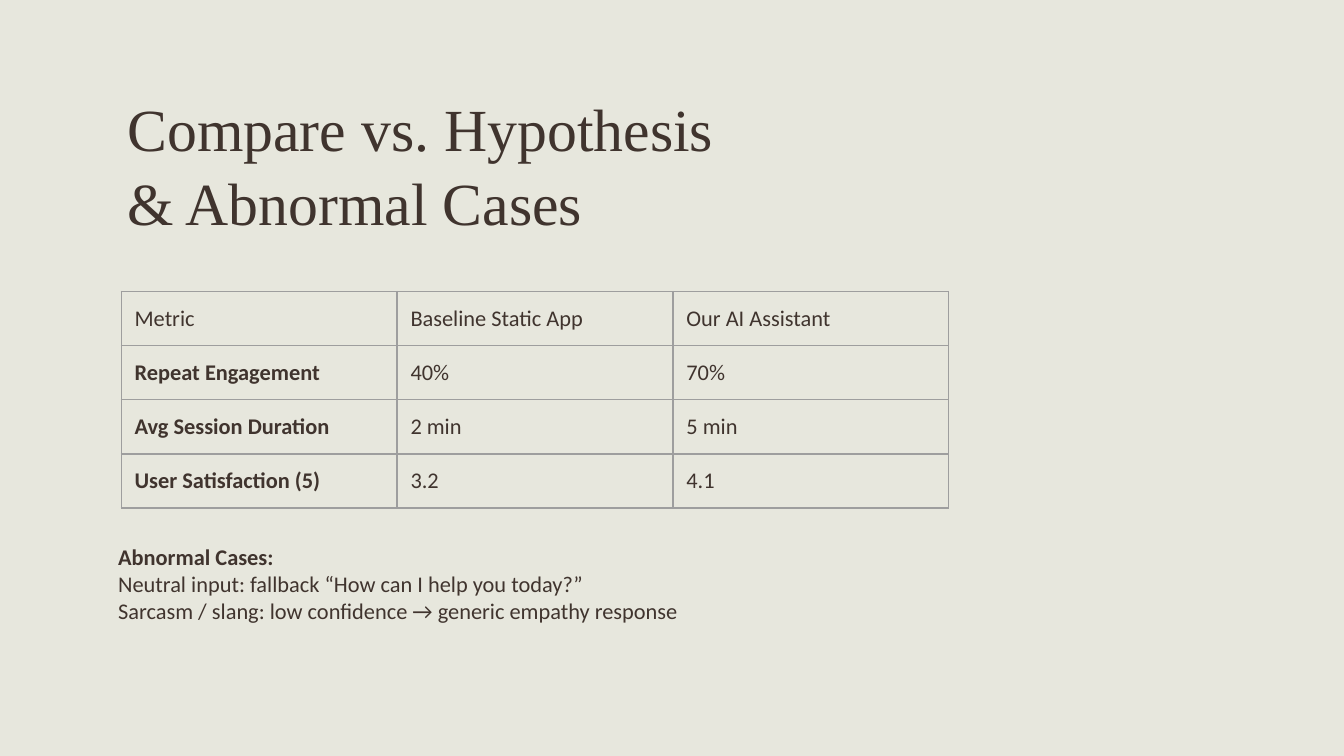
"""Build the slide that compares results with the hypothesis and lists abnormal cases."""
from dataclasses import dataclass

from lxml import etree
from pptx import Presentation
from pptx import util as u
from pptx.dml.color import RGBColor
from pptx.enum import text
from pptx.oxml import ns


@dataclass(frozen=True)
class Theme:
    background: str = "E7E7DD"
    ink: str = "40342E"
    border: str = "9E9E9E"
    title_font: str = "Times New Roman"
    body_font: str = "Calibri"
    title_size: float = 32
    body_size: float = 12
    border_width: float = 0.75
    inset: float = 7.2


class SlideBuilder:
    def __init__(self, slide, theme):
        self.slide = slide
        self.theme = theme
        slide.background.fill.solid()
        slide.background.fill.fore_color.rgb = RGBColor.from_string(theme.background)

    def set_margins(self, target):
        for side in ("left", "top", "right", "bottom"):
            setattr(target, f"margin_{side}", u.Pt(self.theme.inset))

    def format_runs(self, paragraph, font, size, bold=False):
        for run in paragraph.runs:
            run.font.name = font
            run.font.size = u.Pt(size)
            run.font.bold = bold
            run.font.color.rgb = RGBColor.from_string(self.theme.ink)

    def add_text_box(self, box, content, anchor):
        frame = self.slide.shapes.add_textbox(*map(u.Pt, box)).text_frame
        frame.word_wrap = True
        frame.vertical_anchor = anchor
        self.set_margins(frame)
        frame.text = content
        return frame

    def add_title(self, box, content):
        frame = self.add_text_box(box, content, text.MSO_ANCHOR.MIDDLE)
        paragraph = frame.paragraphs[0]
        paragraph.line_spacing = 1.03
        self.format_runs(paragraph, self.theme.title_font, self.theme.title_size)

    def add_notes_block(self, box, lines):
        frame = self.add_text_box(box, "\n".join(lines), text.MSO_ANCHOR.TOP)
        for index, paragraph in enumerate(frame.paragraphs):
            self.format_runs(paragraph, self.theme.body_font, self.theme.body_size, index == 0)

    def add_borders(self, cell):
        properties = cell._tc.get_or_add_tcPr()
        for side in ("L", "R", "T", "B"):
            line = etree.SubElement(properties, ns.qn(f"a:ln{side}"),
                                    w=str(u.Pt(self.theme.border_width)))
            fill = etree.SubElement(line, ns.qn("a:solidFill"))
            etree.SubElement(fill, ns.qn("a:srgbClr"), val=self.theme.border)

    def add_table(self, left, top, column_width, row_height, rows):
        row_count, column_count = len(rows), len(rows[0])
        size = (column_width * column_count, row_height * row_count)
        shape = self.slide.shapes.add_table(
            row_count, column_count, *map(u.Pt, (left, top, *size)))
        table = shape.table
        table.first_row = table.horz_banding = False
        for row_index, row in enumerate(rows):
            for column_index, content in enumerate(row):
                cell = table.cell(row_index, column_index)
                self.set_margins(cell)
                cell.text = content
                is_metric = row_index > 0 and column_index == 0
                self.format_runs(cell.text_frame.paragraphs[0], self.theme.body_font,
                                 self.theme.body_size, is_metric)
                self.add_borders(cell)
                cell.fill.background()


def main():
    presentation = Presentation()
    presentation.slide_width, presentation.slide_height = u.Pt(720), u.Pt(405)
    slide = presentation.slides.add_slide(presentation.slide_layouts[6])
    builder = SlideBuilder(slide, Theme())
    builder.add_title((61.2, 41, 335.5, 93.6), "Compare vs. Hypothesis & Abnormal Cases")
    builder.add_notes_block((56.2, 283.7, 474.5, 58.3), [
        "Abnormal Cases:",
        "Neutral input: fallback “How can I help you today?”",
        "Sarcasm / slang: low confidence → generic empathy response",
    ])
    builder.add_table(64.9, 156.2, 147.8, 29, [
        ["Metric", "Baseline Static App", "Our AI Assistant"],
        ["Repeat Engagement", "40%", "70%"],
        ["Avg Session Duration", "2 min", "5 min"],
        ["User Satisfaction (5)", "3.2", "4.1"],
    ])
    presentation.save("out.pptx")


if __name__ == "__main__":
    main()
